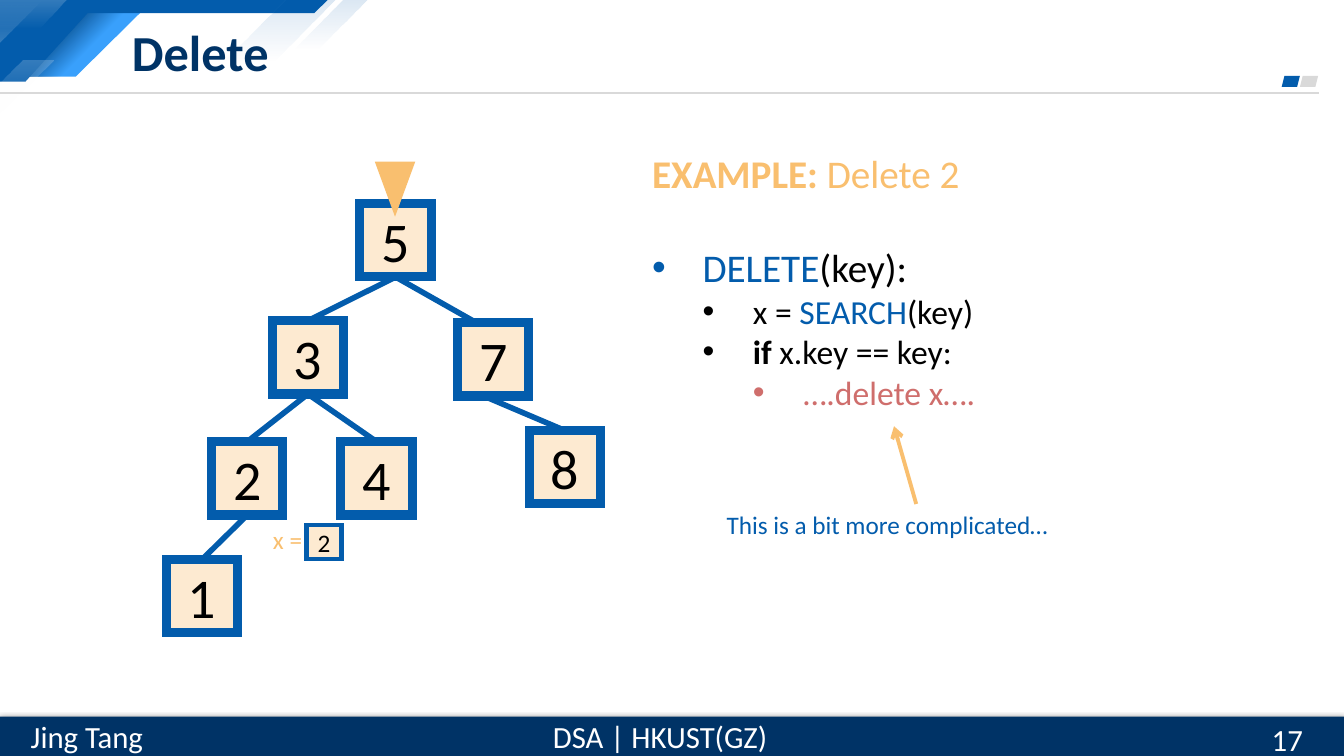
from lxml.etree import SubElement as Sub
from pptx import Presentation
from pptx.dml.color import RGBColor
from pptx.enum.shapes import MSO_CONNECTOR as Link, MSO_SHAPE as Kind
from pptx.enum.text import MSO_ANCHOR as Anchor, MSO_AUTO_SIZE as Auto, PP_ALIGN as Align
from pptx.oxml.ns import qn
from pptx.util import Cm, Pt

NAVY = RGBColor(0x00, 0x33, 0x66)
BLUE = RGBColor(0x03, 0x5C, 0xAC)
SKY = RGBColor(0x39, 0xA0, 0xFC)
DEEP = RGBColor(0x02, 0x45, 0x81)
GREY = RGBColor(0xD9, 0xD9, 0xD9)
CREAM = RGBColor(0xFD, 0xEA, 0xD1)
AMBER = RGBColor(0xF9, 0xBF, 0x6F)
ROSE = RGBColor(0xCF, 0x6E, 0x6C)
WHITE = RGBColor(0xFF, 0xFF, 0xFF)
BLACK = RGBColor(0x00, 0x00, 0x00)

NODE_W, NODE_H = 1.8, 1.85
NODES = {"5": (4.88, 1.04), "3": (2.67, 3.99), "7": (7.34, 4.04),
         "2": (1.14, 7.04), "4": (4.4, 7.04), "8": (9.15, 6.76), "1": (0, 10.01)}
# parent, child, sideways shift of the start and of the end
EDGES = [("5", "3", 0, 0), ("5", "7", 0, -0.43), ("3", "2", 0, 0),
         ("3", "4", 0, 0), ("7", "8", -0.24, 0), ("2", "1", 0, 0)]

# level, space before, runs of text, size, colour, bold
STEPS = [
    (None, 0, [("EXAMPLE: ", 28, AMBER, True), ("Delete 2", 28, AMBER, False)]),
    (0, 34, [("DELETE", 28, BLUE, False), ("(key):", 28, BLACK, False)]),
    (1, 0, [("x = ", 24, BLACK, False), ("SEARCH", 24, BLUE, False),
            ("(key)", 24, BLACK, False)]),
    (1, 0, [("if ", 24, BLACK, True), ("x.key == key:", 24, BLACK, False)]),
    (2, 0, [("….delete x….", 24, ROSE, False)]),
]


def say(par, text, size=18, color=BLACK, bold=False):
    run = par.add_run()
    run.text = text
    font = run.font
    font.name, font.size, font.bold = "Calibri", Pt(size), bold
    font.color.rgb = color


def place(shape, box):
    shape.left, shape.top, shape.width, shape.height = map(Cm, box)


def label(slide, box, text, align=Align.LEFT, anchor=Anchor.TOP, **look):
    frame = slide.shapes.add_textbox(*map(Cm, box)).text_frame
    frame.word_wrap = True
    frame.vertical_anchor = anchor
    frame.paragraphs[0].alignment = align
    say(frame.paragraphs[0], text, **look)


def paint(shape, fill, line=None, width=0):
    shape.shadow.inherit = False
    shape.fill.solid()
    shape.fill.fore_color.rgb = fill
    if line is None:
        shape.line.fill.background()
    else:
        shape.line.color.rgb = line
        shape.line.width = Pt(width)
        Sub(shape.line._get_or_add_ln(), qn("a:miter"), lim="800000")


def fade(shape, color, alpha, angle=90, ends=(0, 1)):
    """Fill with a colour that goes from alpha percent to clear."""
    shape.fill.gradient()
    shape.fill.gradient_angle = 360 - angle
    for stop, end in zip(shape.fill.gradient_stops, ends):
        stop.color.rgb = color
        stop.position = end
    marks = shape._element.spPr.iter(qn("a:srgbClr"))
    for mark, part in zip(list(marks), (alpha, 0)):
        Sub(mark, qn("a:alpha"), val=str(part * 1000))


def block(slide, kind, box, fill, line=None, width=0):
    shape = slide.shapes.add_shape(kind, *map(Cm, box))
    paint(shape, fill, line, width)
    return shape


def plate(slide, x, y, points, fill):
    spots = [(Cm(x + px), Cm(y + py)) for px, py in points]
    pen = slide.shapes.build_freeform(*spots[0])
    pen.add_line_segments(spots[1:])
    shape = pen.convert_to_shape()
    paint(shape, fill)
    return shape


def wire(slide, start, end, color, width, arrow=False):
    link = slide.shapes.add_connector(Link.STRAIGHT, *map(Cm, (*start, *end)))
    link.line.color.rgb = color
    link.line.width = Pt(width)
    if arrow:
        Sub(link.line._get_or_add_ln(), qn("a:tailEnd"), type="arrow")
    Sub(link._element.spPr, qn("a:effectLst"))


def banner(slide, box):
    x, y, w, h = box
    stripe = [(2.13, 0.18), (3.68, 0.18), (1.91, 1.93), (0.41, 1.93)]
    plate(slide, x, y, stripe, SKY)
    fade(plate(slide, x, y, stripe, DEEP), DEEP, 100, 45, (0.29, 0.57))
    plate(slide, x, y, [(0, 0), (8.26, 0), (7.92, 0.33), (2.21, 0.33),
                        (0.64, 2.06), (0, 2.06)], BLUE)
    wedge = block(slide, Kind.RIGHT_TRIANGLE, (x, y, 1.07, 1.07), WHITE)
    wedge._element.spPr.xfrm.set("flipV", "1")
    fade(wedge, WHITE, 20)
    glints = [
        ([(0, 0), (1.68, 0), (0.99, 0.71), (0, 0.71)], WHITE, 20),
        ([(7.21, 0), (8.46, 0), (6.91, 1.55), (5.64, 1.55)], BLUE, 15),
        ([(8.64, 0), (9.25, 0), (8, 1.24), (7.39, 1.24)], BLUE, 15),
        ([(0.58, 1.52), (1.35, 1.52), (0, 2.87), (0, 2.11)], WHITE, 20),
    ]
    for points, color, alpha in glints:
        fade(plate(slide, x, y, points, color), color, alpha)
    wire(slide, (x, y + h), (x + w, y + h), GREY, 1.5)
    for step, color in ((1, GREY), (2, BLUE)):
        block(slide, Kind.PARALLELOGRAM,
              (x + w - 0.03 - 0.46 * step, y + h - 0.43, 0.46, 0.28), color)


def heading(slide, box):
    title = slide.shapes.title
    slide.shapes._spTree.append(title._element)
    place(title, box)
    frame = title.text_frame
    frame.vertical_anchor = Anchor.MIDDLE
    frame.auto_size = Auto.NONE
    frame.paragraphs[0].alignment = Align.LEFT
    say(frame.paragraphs[0], "Delete", size=36, color=NAVY, bold=True)


def footer(slide, box):
    x, y, w, h = box
    bar = block(slide, Kind.RECTANGLE, box, NAVY)
    glow = Sub(bar._element.spPr.find(qn("a:effectLst")), qn("a:outerShdw"),
               blurRad=str(Pt(4.5)), dist=str(Pt(1.5)), dir="5400000")
    Sub(Sub(glow, qn("a:srgbClr"), val="000000"), qn("a:alpha"), val="63000")
    for left, wide, drop, text, align in (
            (0.41, 3.56, -0.08, "Jing Tang", Align.CENTER),
            (13.61, 6.05, -0.08, "DSA | HKUST(GZ)", Align.CENTER),
            (31.8, 2.06, 0, "17", Align.LEFT)):
        label(slide, (x + left, y + drop, wide, h + 0.16), text, align,
              Anchor.MIDDLE, size=22, color=WHITE)


def node(slide, box, text, size, width):
    shape = block(slide, Kind.RECTANGLE, box, CREAM, BLUE, width)
    frame = shape.text_frame
    frame.margin_left = frame.margin_right = frame.margin_top = frame.margin_bottom = 0
    frame.vertical_anchor = Anchor.MIDDLE
    frame.paragraphs[0].alignment = Align.CENTER
    say(frame.paragraphs[0], text, size=size)


def tree(slide, x, y):
    for key, (nx, ny) in NODES.items():
        node(slide, (x + nx, y + ny, NODE_W, NODE_H), key, 40, 6.5)
    mid = x + NODE_W / 2
    for parent, child, out, into in EDGES:
        (px, py), (cx, cy) = NODES[parent], NODES[child]
        wire(slide, (mid + px + out, y + py + NODE_H), (mid + cx + into, y + cy), BLUE, 4)
    hand = block(slide, Kind.ISOSCELES_TRIANGLE, (x + 5.28, y, 0.97, 1.32), AMBER, AMBER, 1)
    hand.rotation = 180
    label(slide, (x + 2.44, y + 8.99, 1.78, 1.02), "x =", color=AMBER)
    node(slide, (x + 3.53, y + 9.14, 0.89, 0.86), "2", 18, 3.25)


def steps(slide, box):
    body = slide.placeholders[1]
    place(body, box)
    frame = body.text_frame
    frame.auto_size = Auto.NONE
    for i, (level, gap, runs) in enumerate(STEPS):
        par = frame.add_paragraph() if i else frame.paragraphs[0]
        par.level = level or 0
        par.space_before = Pt(gap)
        props = par._p.get_or_add_pPr()
        plain = level is None
        props.set("marL", str(0 if plain else Cm(1.27 * (level + 1))))
        props.set("indent", str(0 if plain else Cm(-1.27)))
        if plain:
            Sub(props, qn("a:buNone"))
        else:
            Sub(props, qn("a:buFont"), typeface="Arial")
            Sub(props, qn("a:buChar"), char="•")
        for text, size, color, bold in runs:
            say(par, text, size=size, color=color, bold=bold)
    x, y = box[:2]
    label(slide, (x + 1.88, y + 9.07, 10.03, 1.02), "This is a bit more complicated…", color=BLUE)
    wire(slide, (x + 6.91, y + 9.07), (x + 6.35, y + 7.11), AMBER, 2.75, arrow=True)


def main():
    deck = Presentation()
    deck.slide_width, deck.slide_height = Cm(33.87), Cm(19.05)
    slide = deck.slides.add_slide(deck.slide_layouts[1])
    banner(slide, (0, 0, 33.25, 2.34))
    heading(slide, (3.07, 0.43, 25.93, 1.75))
    footer(slide, (0, 18.06, 33.87, 0.99))
    tree(slide, 4.19, 4.09)
    steps(slide, (16.18, 3.63, 12.7, 7.09))
    deck.save("out.pptx")


if __name__ == "__main__":
    main()
